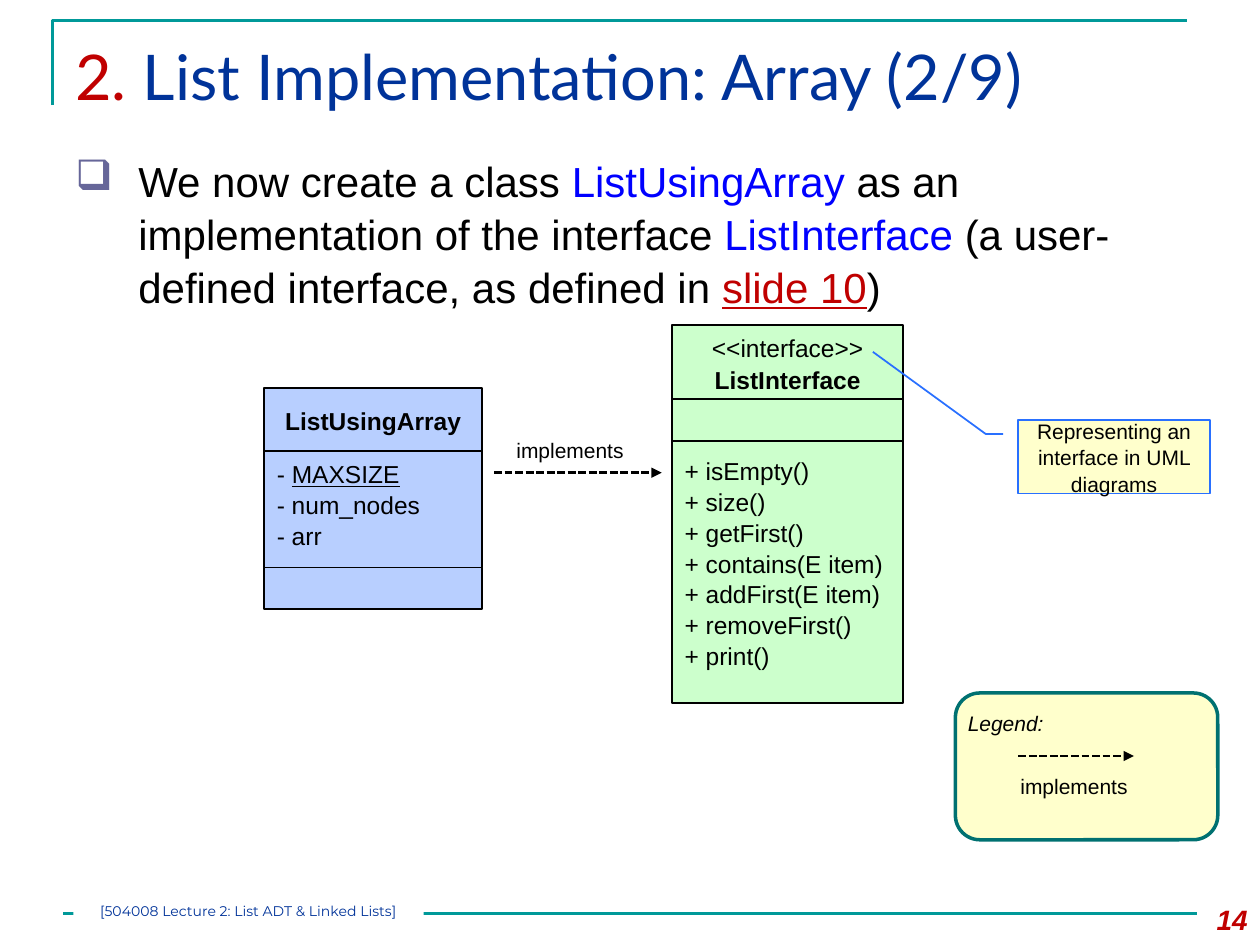
from dataclasses import dataclass, field

import pptx
import pptx.dml.color
import pptx.enum.dml
import pptx.enum.shapes
import pptx.enum.text
import pptx.oxml.ns
import pptx.util
from lxml import etree

Cm, Pt = pptx.util.Cm, pptx.util.Pt
RGB = pptx.dml.color.RGBColor
SHAPE = pptx.enum.shapes.MSO_SHAPE
ALIGN = pptx.enum.text.PP_ALIGN
ANCHOR = pptx.enum.text.MSO_ANCHOR
qn = pptx.oxml.ns.qn

BLACK = RGB(0, 0, 0)
WHITE = RGB(0xFF, 0xFF, 0xFF)
TEAL = RGB(0, 0x99, 0x99)
DEEP = RGB(0, 0x71, 0x71)
NAVY = RGB(0, 0x33, 0x99)
BLUE = RGB(0, 0, 0xFF)
SKY = RGB(0x29, 0x70, 0xFF)
RED = RGB(0xC0, 0, 0)
GREEN = RGB(0xCC, 0xFF, 0xCC)
PALE = RGB(0xB8, 0xCF, 0xFF)
CREAM = RGB(0xFF, 0xFF, 0xCC)


@dataclass
class Run:
    text: str
    color: RGB = BLACK
    look: dict = field(default_factory=dict)


@dataclass
class Box:
    left: float
    top: float
    width: float
    height: float

    def place(self) -> tuple:
        return Cm(self.left), Cm(self.top), Cm(self.width), Cm(self.height)


@dataclass
class Label:
    box: Box
    lines: list
    size: int = 14
    align: ALIGN = ALIGN.LEFT
    font: str = "Arial"


@dataclass
class Stack:
    """A UML class drawn as compartments stacked downward."""
    left: float
    top: float
    width: float
    heights: tuple
    fill: RGB


@dataclass
class Arrow:
    left: float
    right: float
    y: float


def write(frame, lines: list, size: int, align: ALIGN, font: str) -> None:
    frame.word_wrap = True
    for i, runs in enumerate(lines):
        para = frame.paragraphs[0] if i == 0 else frame.add_paragraph()
        para.alignment = align
        if font == "Arial":
            para.line_spacing = 1.05
        for item in runs:
            run = para.add_run()
            run.text = item.text
            style = {"name": font, "size": Pt(size)} | item.look
            for key, value in style.items():
                setattr(run.font, key, value)
            run.font.color.rgb = item.color


def add_label(slide, label: Label):
    text = slide.shapes.add_textbox(*label.box.place())
    write(text.text_frame, label.lines, label.size, label.align, label.font)
    return text


def add_box(slide, kind, box: Box, fill: RGB, line: RGB | None = None, width: float = 1):
    shape = slide.shapes.add_shape(kind, *box.place())
    shape.shadow.inherit = False
    shape.fill.solid()
    shape.fill.fore_color.rgb = fill
    if line is None:
        shape.line.fill.background()
    else:
        shape.line.color.rgb = line
        shape.line.width = Pt(width)
    return shape


def add_stack(slide, stack: Stack) -> None:
    top = stack.top
    for height in stack.heights:
        box = Box(stack.left, top, stack.width, height)
        add_box(slide, SHAPE.RECTANGLE, box, stack.fill, BLACK)
        top += height


def add_line(slide, left: float, right: float, y: float, color: RGB):
    line = slide.shapes.add_connector(
        pptx.enum.shapes.MSO_CONNECTOR.STRAIGHT, Cm(left), Cm(y), Cm(right), Cm(y))
    line.line.color.rgb = color
    line.line.width = Pt(1.5)
    etree.SubElement(line._element.spPr, qn("a:effectLst"))
    return line


def add_arrow(slide, arrow: Arrow) -> None:
    line = add_line(slide, arrow.left, arrow.right, arrow.y, BLACK).line
    line.dash_style = pptx.enum.dml.MSO_LINE.SQUARE_DOT
    etree.SubElement(line._get_or_add_ln(), qn("a:tailEnd"), type="triangle")


def add_bullet(para, char: str, color: RGB) -> None:
    props = para._p.get_or_add_pPr()
    props.set("marL", str(Cm(1.27)))
    props.set("indent", str(-Cm(1.27)))
    tint = etree.SubElement(props, qn("a:buClr"))
    etree.SubElement(tint, qn("a:srgbClr"), val=str(color))
    etree.SubElement(props, qn("a:buChar"), char=char)


def add_frame(slide) -> None:
    """Draw the slide's corner rule and footer rule."""
    pen = slide.shapes.build_freeform(Cm(1.06), Cm(2.12))
    pen.add_line_segments([(Cm(1.06), Cm(0.42)), (Cm(23.92), Cm(0.42))], close=False)
    rule = pen.convert_to_shape()
    rule.shadow.inherit = False
    rule.fill.background()
    rule.line.color.rgb = TEAL
    rule.line.width = Pt(1.5)
    add_line(slide, 1.27, 24.13, 18.42, TEAL)


BOLD = {"bold": True}
ITALIC = {"italic": True}
UNDER = {"underline": True}
METHODS = ("isEmpty()", "size()", "getFirst()", "contains(E item)",
           "addFirst(E item)", "removeFirst()", "print()")
STACKS = (
    Stack(13.55, 6.56, 4.66, (1.48, 0.85, 5.29), GREEN),
    Stack(5.33, 7.83, 4.39, (1.27, 2.34, 0.84), PALE),
)
ARROWS = (Arrow(9.96, 13.34, 9.53), Arrow(20.53, 22.86, 15.24))
LABELS = (
    Label(Box(1.27, 0.64, 22.86, 2.18),
          [[Run("2. ", RED), Run("List Implementation: Array (2/9)", NAVY)]], 36, font="Lato"),
    Label(Box(23.71, 18.03, 1.69, 1.02), [[Run("14", RED, BOLD | ITALIC)]], 16, ALIGN.RIGHT),
    Label(Box(13.55, 6.56, 4.66, 0.86), [[Run("<<interface>>")]], align=ALIGN.CENTER),
    Label(Box(13.55, 7.2, 4.66, 0.86), [[Run("ListInterface", look=BOLD)]], align=ALIGN.CENTER),
    Label(Box(13.55, 9.04, 4.66, 4.44), [[Run(f"+ {name}")] for name in METHODS]),
    Label(Box(5.33, 8.04, 4.39, 0.86), [[Run("ListUsingArray", look=BOLD)]], align=ALIGN.CENTER),
    Label(Box(5.33, 9.1, 4.39, 2.06),
          [[Run("- "), Run("MAXSIZE", look=UNDER)], [Run("- num_nodes")], [Run("- arr")]]),
    Label(Box(19.26, 14.18, 2.75, 0.76), [[Run("Legend:", look=ITALIC)]], 12),
    Label(Box(20.32, 15.45, 2.75, 0.76), [[Run("implements")]], 12),
    Label(Box(10.16, 8.68, 2.75, 0.76), [[Run("implements")]], 12),
)
BODY = Label(Box(1.27, 2.96, 22.86, 4.02), [[
    Run("We now create a class "), Run("ListUsingArray ", BLUE),
    Run("as an implementation of the interface "), Run("ListInterface ", BLUE),
    Run("(a user-defined interface, as defined in "),
    Run("slide 10", RED, UNDER), Run(")")]], 24)


def main() -> None:
    deck = pptx.Presentation()
    deck.slide_width, deck.slide_height = Cm(25.4), Cm(19.05)
    slide = deck.slides.add_slide(deck.slide_layouts[6])
    add_frame(slide)
    for stack in STACKS:
        add_stack(slide, stack)
    add_box(slide, SHAPE.ROUNDED_RECTANGLE, Box(19.26, 13.97, 5.29, 2.96), CREAM, DEEP, 2)
    for arrow in ARROWS:
        add_arrow(slide, arrow)
    for label in LABELS:
        add_label(slide, label)
    body = add_label(slide, BODY)
    add_bullet(body.text_frame.paragraphs[0], "❑", RGB(0x66, 0x66, 0x99))

    foot = add_box(slide, SHAPE.RECTANGLE, Box(1.48, 18.2, 7.06, 0.51), WHITE).text_frame
    for side in ("left", "top", "right", "bottom"):
        setattr(foot, f"margin_{side}", 0)
    foot.vertical_anchor = ANCHOR.TOP
    write(foot, [[Run("[504008 Lecture 2: List ADT & Linked Lists]", NAVY)]],
          8, ALIGN.CENTER, "Montserrat")

    note = add_box(slide, SHAPE.LINE_CALLOUT_2, Box(20.53, 8.47, 3.86, 1.48), CREAM, SKY)
    for i, value in enumerate((0.19, -0.08, 0.19, -0.17, -0.93, -0.76)):
        note.adjustments[i] = value
    note.text_frame.vertical_anchor = ANCHOR.MIDDLE
    write(note.text_frame, [[Run("Representing an interface in UML diagrams")]],
          12, ALIGN.CENTER, "Arial")
    deck.save("out.pptx")


if __name__ == "__main__":
    main()
